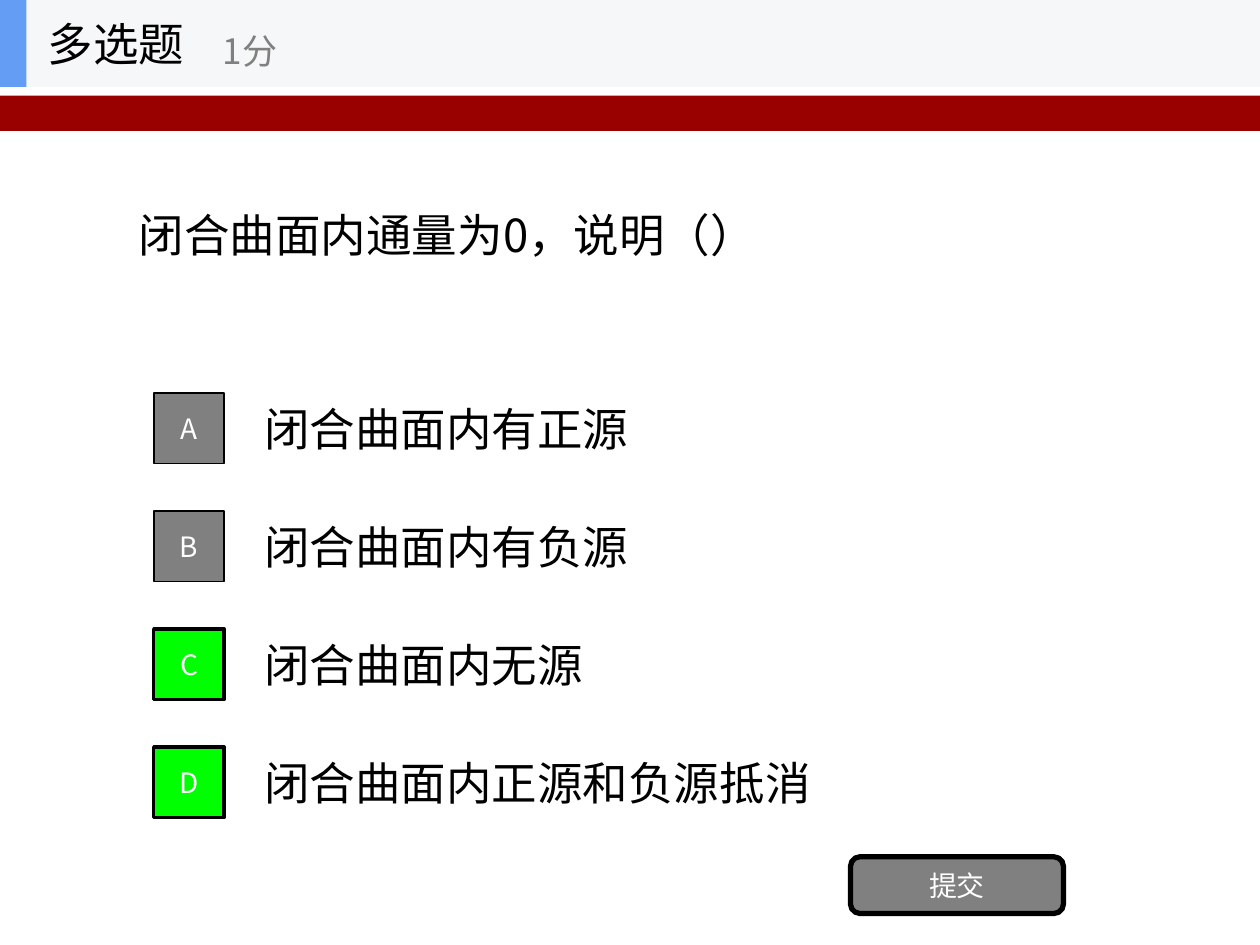
from lxml import etree
from pptx import Presentation
from pptx.dml.color import RGBColor
from pptx.enum import shapes, text
from pptx.oxml import ns
from pptx.util import Inches, Pt

FONT = "Noto Sans CJK SC"
BLACK, WHITE, GRAY, GREEN = "000000", "FFFFFF", "808080", "00FF00"
RED, PALE, BLUE = "990000", "F6F7F8", "639EF4"
OPTIONS = [
    ("A", "闭合曲面内有正源", False),
    ("B", "闭合曲面内有负源", False),
    ("C", "闭合曲面内无源", True),
    ("D", "闭合曲面内正源和负源抵消", True),
]
FIRST_TOP, LAST_TOP = 3.05, 5.86
ROW_HEIGHT, MARK_SIZE = 0.7, 0.56


def color(value):
    return RGBColor.from_string(value)


class QuizSlide:
    def __init__(self, deck):
        self.page = deck.slides.add_slide(deck.slide_layouts[5])

    def set_words(self, shape, words, size, ink, align=text.PP_ALIGN.LEFT):
        frame = shape.text_frame
        frame.word_wrap = True
        frame.auto_size = text.MSO_AUTO_SIZE.NONE
        frame.vertical_anchor = text.MSO_ANCHOR.MIDDLE
        para = frame.paragraphs[0]
        para.alignment = align
        span = para.add_run()
        span.text = words
        span.font.size = Pt(size)
        span.font.name = FONT
        span.font.color.rgb = color(ink)
        east_asian = etree.SubElement(span.font._element, ns.qn("a:ea"))
        east_asian.set("typeface", FONT)

    def title(self, words, left, top, width, height):
        box = self.page.shapes.title
        box.left, box.top = Inches(left), Inches(top)
        box.width, box.height = Inches(width), Inches(height)
        self.set_words(box, words, 26, BLACK)

    def label(self, words, left, top, width, height, size=26, ink=BLACK):
        box = self.page.shapes.add_textbox(
            Inches(left), Inches(top), Inches(width), Inches(height))
        self.set_words(box, words, size, ink)

    def block(self, left, top, width, height, fill,
              kind=shapes.MSO_SHAPE.RECTANGLE):
        shape = self.page.shapes.add_shape(
            kind, Inches(left), Inches(top), Inches(width), Inches(height))
        shape.shadow.inherit = False
        shape.fill.solid()
        shape.fill.fore_color.rgb = color(fill)
        shape.line.fill.background()
        return shape

    def button(self, words, left, top, width, height, fill, border,
               kind=shapes.MSO_SHAPE.RECTANGLE):
        shape = self.block(left, top, width, height, fill, kind)
        shape.line.color.rgb = color(BLACK)
        shape.line.width = Pt(border)
        self.set_words(shape, words, 16, WHITE, text.PP_ALIGN.CENTER)

    def option(self, top, letter, words, correct):
        mark_top = top + (ROW_HEIGHT - MARK_SIZE) / 2
        fill, border = (GREEN, 2) if correct else (GRAY, 1)
        self.button(letter, 1.22, mark_top, MARK_SIZE, MARK_SIZE, fill, border)
        self.label(words, 2, top, 7, ROW_HEIGHT)


def main():
    deck = Presentation()
    deck.slide_width, deck.slide_height = Inches(10), Inches(7.5)
    quiz = QuizSlide(deck)

    quiz.block(0, 0.76, 10, 0.28, RED)
    quiz.title("闭合曲面内通量为0，说明（）", 1, 0.69, 8, 2.34)

    step = (LAST_TOP - FIRST_TOP) / (len(OPTIONS) - 1)
    for row, option in enumerate(OPTIONS):
        quiz.option(FIRST_TOP + row * step, *option)
    quiz.button("提交", 6.75, 6.8, 1.69, 0.45, GRAY, 3,
                shapes.MSO_SHAPE.ROUNDED_RECTANGLE)

    quiz.block(0, 0, 10, 0.69, PALE)
    quiz.block(0, 0, 0.21, 0.69, BLUE)
    quiz.label("多选题", 0.28, 0, 2.08, 0.69)
    quiz.label("1分", 1.67, 0.12, 2.5, 0.56, 20, GRAY)

    deck.save("out.pptx")


if __name__ == "__main__":
    main()
